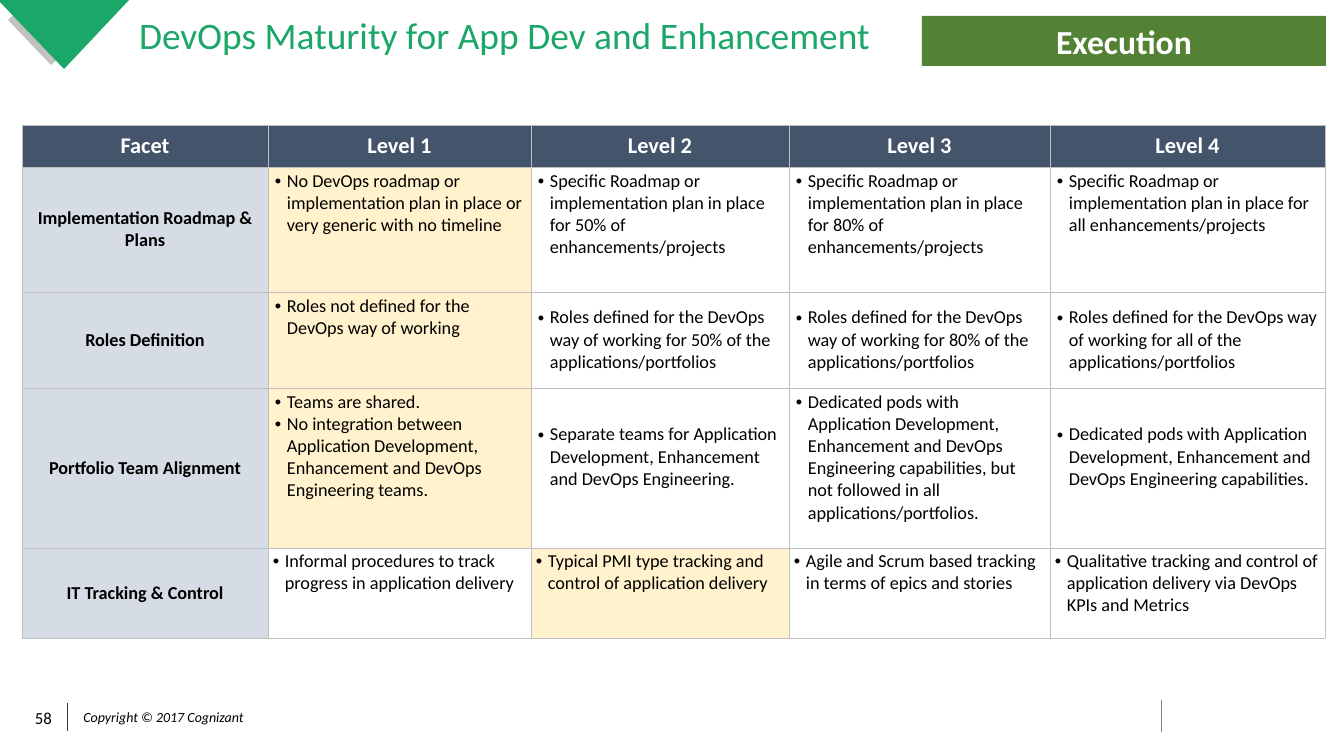
from dataclasses import dataclass
from lxml import etree
from pptx import Presentation, util as u
from pptx.dml.color import RGBColor
from pptx.enum import shapes, text
from pptx.oxml.ns import qn


@dataclass(frozen=True)
class Theme:
    font: str = "Calibri"
    green: str = "1AA767"
    shade: str = "C1C1C0"
    banner: str = "548235"
    header: str = "44546A"
    label: str = "D6DCE5"
    current: str = "FFF2CC"
    border: str = "BFBFBF"
    white: str = "FFFFFF"
    black: str = "000000"
    dark_rule: str = "404040"
    light_rule: str = "808080"
    title_size: float = 26.7
    banner_size: int = 24
    header_size: int = 16
    body_size: int = 13
    page_size: int = 12
    footer_size: int = 10


T = Theme()
SCALE = 914400 / 100.8
BULLET_INDENT = 12


def px(n):
    return u.Emu(round(n * SCALE))


def write(tf, content, size, color=T.black, bold=False, italic=False,
          align=text.PP_ALIGN.LEFT, spacing=None, bullet=False):
    for i, line in enumerate(content.split("\n")):
        p = tf.paragraphs[0] if i == 0 else tf.add_paragraph()
        p.alignment = align
        if spacing:
            p.line_spacing = spacing
        if bullet:
            pPr = p._p.get_or_add_pPr()
            pPr.set("marL", str(px(BULLET_INDENT)))
            pPr.set("indent", str(-px(BULLET_INDENT)))
            etree.SubElement(pPr, qn("a:buFont"), typeface="Arial")
            etree.SubElement(pPr, qn("a:buChar"), char="•")
        r = p.add_run()
        r.text = line
        r.font.name = T.font
        r.font.size = u.Pt(size)
        r.font.bold = bold
        r.font.italic = italic
        r.font.color.rgb = RGBColor.from_string(color)


prs = Presentation()
prs.slide_width, prs.slide_height = px(1344), px(756)
s = prs.slides.add_slide(prs.slide_layouts[6])
CENTER = text.PP_ALIGN.CENTER
MIDDLE = text.MSO_ANCHOR.MIDDLE
TOP = text.MSO_ANCHOR.TOP

corner = [
    (T.shade, [(60, 57), (51, 65), (8, 20), (17, 12)]),
    (T.green, [(64, 69), (129, 0), (-2, 0)]),
]
for color, points in corner:
    fb = s.shapes.build_freeform(*points[0], scale=SCALE)
    fb.add_line_segments(points[1:], close=True)
    sp = fb.convert_to_shape()
    sp.shadow.inherit = False
    sp.fill.solid()
    sp.fill.fore_color.rgb = RGBColor.from_string(color)
    sp.line.fill.background()

for x, top, bottom, color in [(67, 703, 731, T.dark_rule), (1161, 700, 732, T.light_rule)]:
    rule = s.shapes.add_connector(shapes.MSO_CONNECTOR.STRAIGHT, px(x), px(top), px(x), px(bottom))
    rule.line.color.rgb = RGBColor.from_string(color)
    rule.line.width = u.Pt(0.5)
    etree.SubElement(rule._element.spPr, qn("a:effectLst"))

labels = [
    ("Copyright © 2017 Cognizant", (73, 705, 181, 23), (6, 3),
     dict(size=T.footer_size, italic=True, align=CENTER)),
    ("58", (16, 703, 55, 30), (0, 0), dict(size=T.page_size, align=CENTER)),
    ("DevOps Maturity for App Dev and Enhancement", (129, 9, 780, 56), (10, 5),
     dict(size=T.title_size, color=T.green, spacing=0.9)),
]
for content, box, (side, edge), style in labels:
    tf = s.shapes.add_textbox(*map(px, box)).text_frame
    tf.word_wrap = True
    tf.vertical_anchor = MIDDLE
    tf.margin_left = tf.margin_right = px(side)
    tf.margin_top = tf.margin_bottom = px(edge)
    write(tf, content, **style)

headings = ["Facet", "Level 1", "Level 2", "Level 3", "Level 4"]
facets = [
    ["Implementation Roadmap & Plans",
     "No DevOps roadmap or implementation plan in place or very generic with no timeline",
     "Specific Roadmap or implementation plan in place for 50% of enhancements/projects",
     "Specific Roadmap or implementation plan in place for 80% of enhancements/projects",
     "Specific Roadmap or implementation plan in place for all enhancements/projects"],
    ["Roles Definition",
     "Roles not defined for the DevOps way of working",
     "Roles defined for the DevOps way of working for 50% of the applications/portfolios",
     "Roles defined for the DevOps way of working for 80% of the applications/portfolios",
     "Roles defined for the DevOps way of working for all of the applications/portfolios"],
    ["Portfolio Team Alignment",
     "Teams are shared.\nNo integration between Application Development, "
     "Enhancement and DevOps Engineering teams.",
     "Separate teams for Application Development, Enhancement and DevOps Engineering.",
     "Dedicated pods with Application Development, Enhancement and DevOps Engineering "
     "capabilities, but not followed in all applications/portfolios.",
     "Dedicated pods with Application Development, Enhancement and DevOps Engineering "
     "capabilities."],
    ["IT Tracking & Control",
     "Informal procedures to track progress in application delivery",
     "Typical PMI type tracking and control of application delivery",
     "Agile and Scrum based tracking in terms of epics and stories",
     "Qualitative tracking and control of application delivery via DevOps KPIs and Metrics"],
]
current_level = {1: 1, 2: 1, 3: 1, 4: 2}
centred_rows = {2, 3}
row_margins = [(3, 3, 3), (7, 3, 3), (7, 3, 3), (7, 3, 25), (5, 2, 2)]
widths = [246, 263, 258, 261, 275]
heights = [42, 125, 96, 160, 90]

table = s.shapes.add_table(len(heights), len(widths), px(22), px(125),
                           px(sum(widths)), px(sum(heights))).table
for column, width in zip(table.columns, widths):
    column.width = px(width)
for row, height in zip(table.rows, heights):
    row.height = px(height)

for i, contents in enumerate([headings] + facets):
    side, above, below = row_margins[i]
    for j, content in enumerate(contents):
        cell = table.cell(i, j)
        tcPr = cell._tc.get_or_add_tcPr()
        for edge in ("lnL", "lnR", "lnT", "lnB"):
            ln = etree.SubElement(tcPr, qn(f"a:{edge}"), w=str(u.Pt(0.5)))
            solid = etree.SubElement(ln, qn("a:solidFill"))
            etree.SubElement(solid, qn("a:srgbClr"), val=T.border)
        is_body = i > 0 and j > 0
        cell.margin_left = cell.margin_right = px(side)
        cell.margin_top = px(above)
        cell.margin_bottom = px(below if j else above)
        is_middle = not is_body or (i in centred_rows and j > 1)
        cell.vertical_anchor = MIDDLE if is_middle else TOP
        if i == 0:
            fill = T.header
        elif j == 0:
            fill = T.label
        else:
            fill = T.current if current_level[i] == j else None
        if fill:
            cell.fill.solid()
            cell.fill.fore_color.rgb = RGBColor.from_string(fill)
        else:
            cell.fill.background()
        write(cell.text_frame, content,
              size=T.body_size if i else T.header_size,
              color=T.black if i else T.white,
              bold=not is_body, bullet=is_body,
              align=text.PP_ALIGN.LEFT if is_body else CENTER)

banner = s.shapes.add_shape(shapes.MSO_SHAPE.RECTANGLE, px(922), px(16), px(404), px(50))
banner.shadow.inherit = False
banner.fill.solid()
banner.fill.fore_color.rgb = RGBColor.from_string(T.banner)
banner.line.fill.background()
banner.text_frame.vertical_anchor = MIDDLE
write(banner.text_frame, "Execution", T.banner_size, color=T.white, bold=True, align=CENTER)

prs.save("out.pptx")
